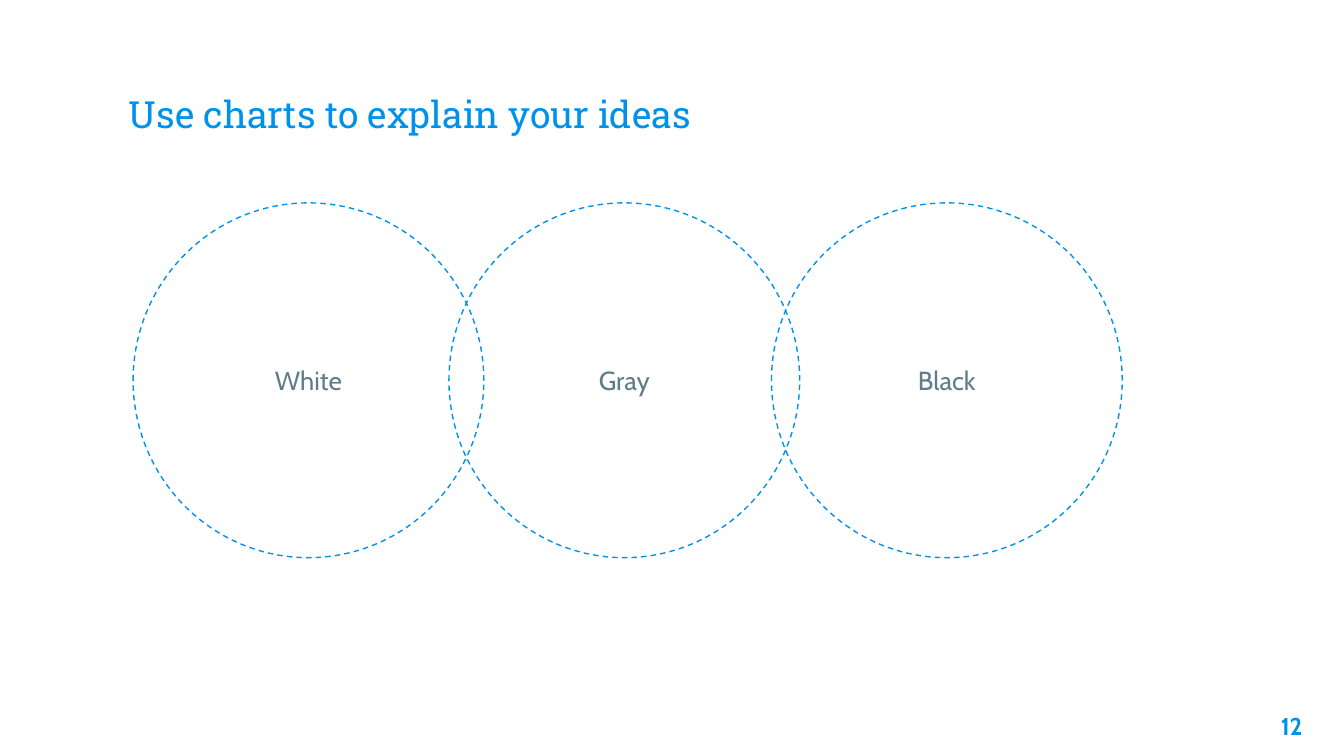
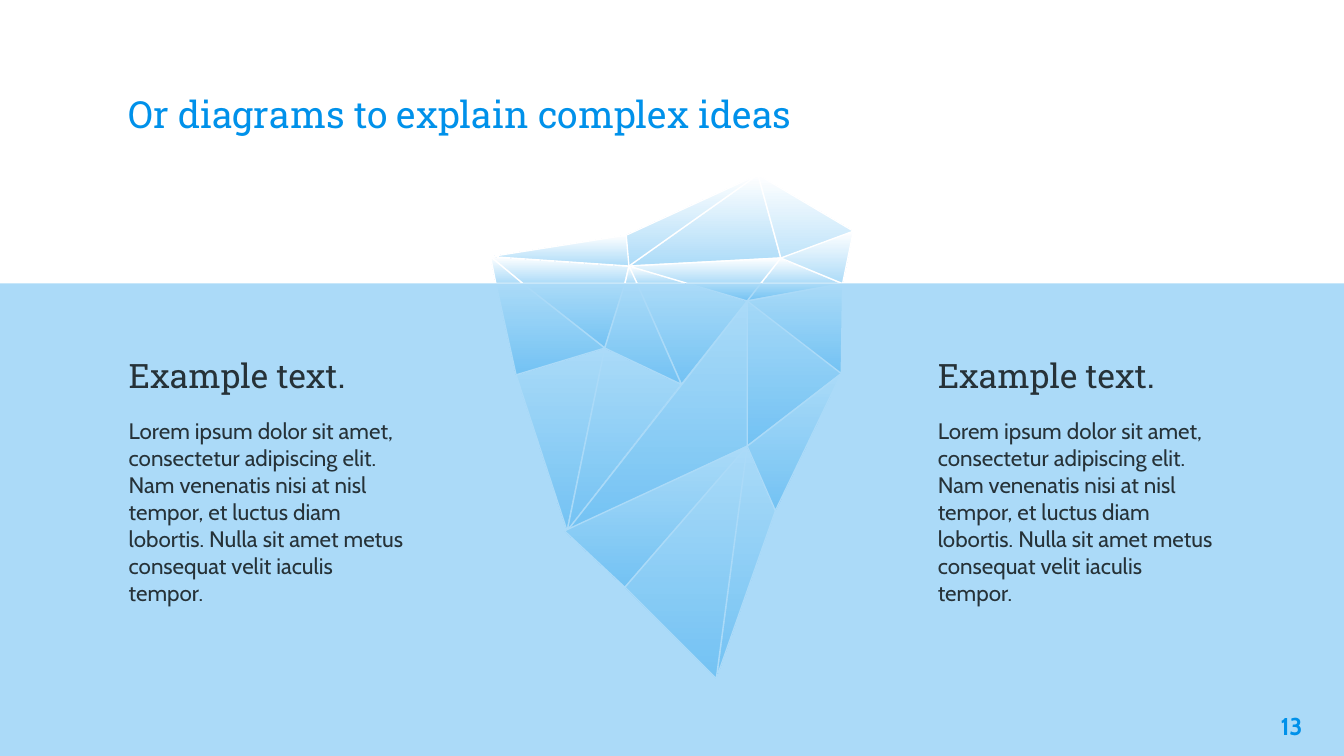
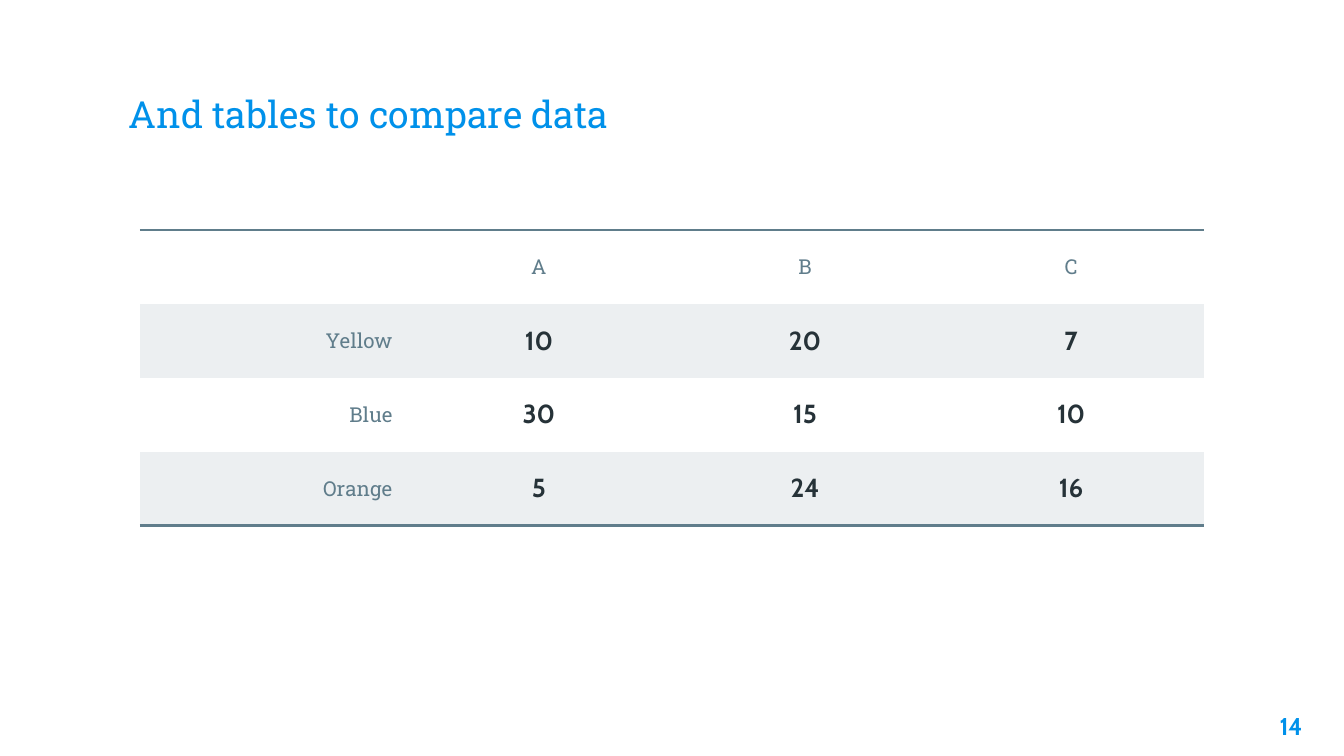
from pptx import Presentation
from pptx.dml.color import RGBColor
from pptx.enum.dml import MSO_LINE as Dash
from pptx.enum.shapes import MSO_SHAPE as Kind
from pptx.enum.text import MSO_ANCHOR as Anchor, PP_ALIGN as Align
from pptx.oxml import parse_xml
from pptx.oxml.ns import nsdecls, qn
from pptx.util import Inches, Pt

# Shared look
BLUE, SLATE, INK = "0091EA", "607D8B", "263238"
WHITE, ICE, BAND = "FFFFFF", "ACDBF8", "ECEFF1"
SERIF, SANS = "Roboto Slab", "Cabin"
hue = RGBColor.from_string


def write(para, text, size, font, color, bold=False, align=Align.LEFT):
    para.alignment = align
    run = para.add_run()
    run.text = text
    run.font.size = Pt(size)
    run.font.name = font
    run.font.bold = bold
    run.font.color.rgb = hue(color)


def box(slide, left, top, width, height, pad=0.1, anchor=Anchor.TOP):
    area = slide.shapes.add_textbox(Inches(left), Inches(top), Inches(width), Inches(height))
    frame = area.text_frame
    frame.word_wrap = True
    frame.vertical_anchor = anchor
    frame.margin_left = frame.margin_right = Inches(0.1)
    frame.margin_top = frame.margin_bottom = Inches(pad)
    return frame


# A 16:9 deck
deck = Presentation()
deck.slide_width = Inches(10)
deck.slide_height = deck.slide_width * 9 // 16

# Slides with their titles
titles = [
    "Use charts to explain your ideas",
    "Or diagrams to explain complex ideas",
    "And tables to compare data",
]
slides = []
for title in titles:
    slide = deck.slides.add_slide(deck.slide_layouts[6])
    slide.background.fill.solid()
    slide.background.fill.fore_color.rgb = hue(WHITE)
    frame = box(slide, 0.86, 0.34, 8.28, 0.77, anchor=Anchor.BOTTOM)
    write(frame.paragraphs[0], title, 20, SERIF, BLUE)
    slides.append(slide)
venn, berg, data = slides

# Overlapping circles
for name, left in [("Gray", 3.34), ("White", 0.99), ("Black", 5.74)]:
    ring = venn.shapes.add_shape(Kind.OVAL, Inches(left), Inches(1.51), Inches(2.61), Inches(2.64))
    ring.shadow.inherit = False
    ring.fill.background()
    ring.line.color.rgb = hue(BLUE)
    ring.line.width = Pt(0.75)
    ring.line.dash_style = Dash.DASH
    ring.text_frame.vertical_anchor = Anchor.MIDDLE
    write(ring.text_frame.paragraphs[0], name, 14, SANS, SLATE, align=Align.CENTER)

# Iceberg corners: tip, waterline, then below the water
SEA = 2.11
spots = {
    "a": (3.65, 1.91), "b": (4.66, 1.75), "c": (5.64, 1.3),
    "d": (6.35, 1.72), "e": (4.68, 1.98), "f": (5.81, 1.92),
    "g": (3.69, SEA), "h": (3.89, SEA), "i": (4.65, SEA), "j": (4.74, SEA),
    "k": (5.12, SEA), "l": (5.66, SEA), "m": (6.27, SEA),
    "n": (5.56, 2.24), "o": (4.5, 2.59), "p": (3.84, 2.79), "q": (5.07, 2.86),
    "r": (6.26, 2.78), "s": (5.56, 3.32), "t": (5.77, 3.8), "u": (4.22, 3.95),
    "v": (4.65, 4.37), "w": (5.33, 5.05), "x": (4.2, 3.95),
}

# Iceberg facets, each named by its corners, from back to front
facets = (
    "mah cef cdmf ahg eiha ceab fml jek ahg bea dfm jei "
    "mrsn oup ioh stw mnl qjkn qou nus hopg mnr oqji xsv vws rts eflk nlk"
).split()
ice = berg.shapes.add_group_shape()
for facet in facets:
    start, *rest = [(Inches(x), Inches(y)) for x, y in map(spots.get, facet)]
    pen = ice.shapes.build_freeform(*start)
    pen.add_line_segments(rest, close=True)
    face = pen.convert_to_shape()
    face.shadow.inherit = False
    face.fill.gradient()
    face.fill.gradient_angle = 270
    for stop, color in zip(face.fill.gradient_stops, (WHITE, ICE)):
        stop.color.rgb = hue(color)
    face.line.color.rgb = hue(WHITE)
    face.line.width = Pt(0.75)

# Translucent water
water = berg.shapes.add_shape(
    Kind.RECTANGLE, 0, Inches(SEA), deck.slide_width, deck.slide_height - Inches(SEA)
)
water.shadow.inherit = False
water.line.fill.background()
water.fill.solid()
water.fill.fore_color.rgb = hue(BLUE)
tint = water.fill._xPr.find(qn("a:solidFill"))[0]
tint.append(parse_xml(f'<a:alpha {nsdecls("a")} val="33000"/>'))

# Text on both sides of the iceberg
lorem = (
    "Lorem ipsum dolor sit amet, consectetur adipiscing elit. Nam venenatis nisi at nisl "
    "tempor, et luctus diam lobortis. Nulla sit amet metus consequat velit iaculis tempor."
)
for left in (0.86, 6.88):
    frame = box(berg, left, 2.59, 2.3, 2.65, pad=0.05)
    head = frame.paragraphs[0]
    head.space_after = Pt(12)
    write(head, "Example text.", 18, SERIF, INK)
    write(frame.add_paragraph(), lorem, 12, SANS, INK)

# Table
rows = [
    ("", "A", "B", "C"),
    ("Yellow", "10", "20", "7"),
    ("Blue", "30", "15", "10"),
    ("Orange", "5", "24", "16"),
]
grid = data.shapes.add_table(
    4, 4, Inches(1.04), Inches(1.71), Inches(4 * 1.98), Inches(4 * 0.55)
).table
grid.first_row = grid.horz_banding = False
plain = "{2D5ABB26-0587-4C30-8999-92F81FD0307C}"  # no style, no grid
grid._tbl.tblPr.find(qn("a:tableStyleId")).text = plain
edges = {0: "lnT", 3: "lnB"}
for r, row in enumerate(rows):
    for c, text in enumerate(row):
        cell = grid.cell(r, c)
        cell.vertical_anchor = Anchor.MIDDLE
        cell.margin_left = cell.margin_right = Inches(0.1)
        cell.margin_top = cell.margin_bottom = Inches(0.07)
        if r % 2:
            cell.fill.solid()
            cell.fill.fore_color.rgb = hue(BAND)
        else:
            cell.fill.background()
        if r in edges:
            cell._tc.get_or_add_tcPr().insert(0, parse_xml(
                f'<a:{edges[r]} {nsdecls("a")} w="{Pt(1.5)}"><a:solidFill>'
                f'<a:srgbClr val="{SLATE}"/></a:solidFill></a:{edges[r]}>'
            ))
        if text:
            look = (14, SANS, INK, True) if r and c else (11, SERIF, SLATE, False)
            side = Align.CENTER if c else Align.RIGHT
            write(cell.text_frame.paragraphs[0], text, *look, align=side)

# Page numbers
for page, slide in enumerate(slides, 12):
    frame = box(slide, 9.19, 5.19, 0.6, 0.43)
    write(frame.paragraphs[0], str(page), 13, SANS, BLUE, True, Align.RIGHT)

deck.save("out.pptx")
